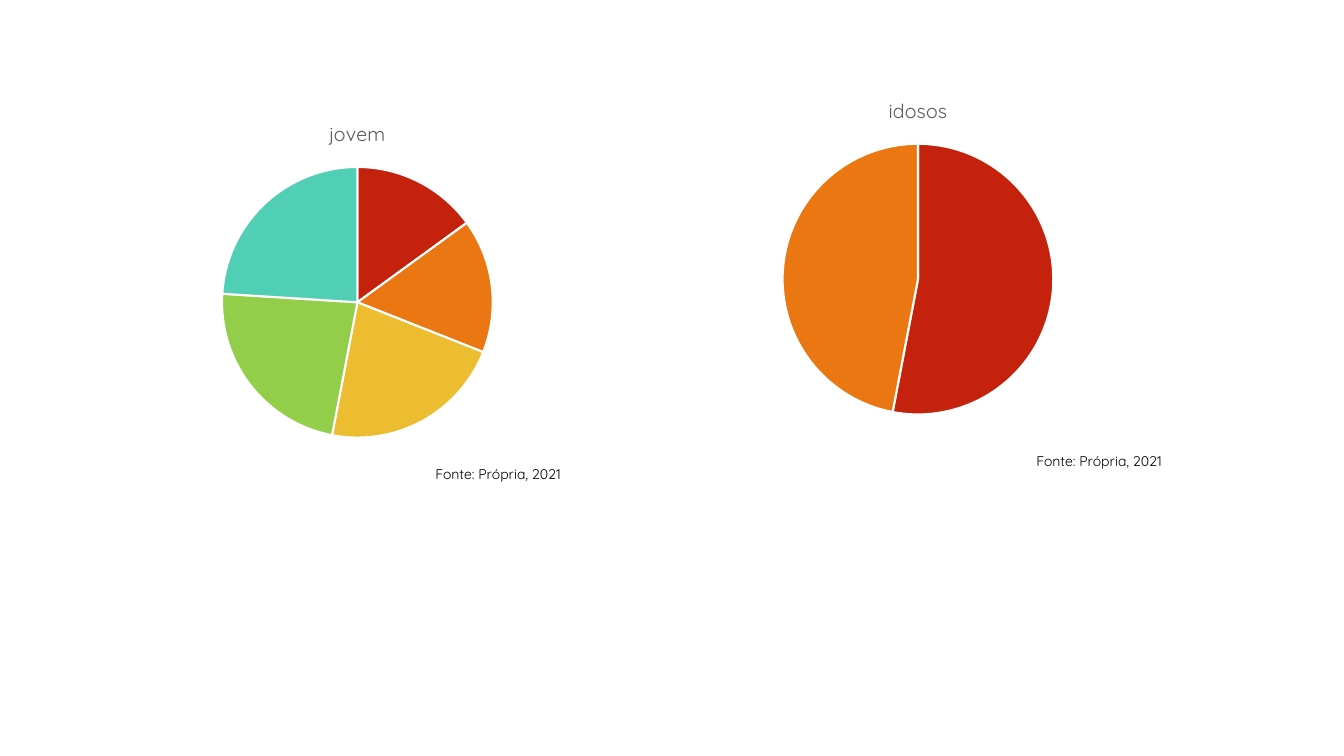
"""Build a slide with two pie charts of age groups and their sources."""
import dataclasses

import pptx
import pptx.chart.data
import pptx.dml.color
import pptx.enum.chart
import pptx.enum.text
import pptx.util
from pptx.util import Inches


@dataclasses.dataclass(frozen=True)
class Theme:
    """Hold the colours, font and type sizes of the slide."""
    font: str = "Quicksand"
    title_size: int = 14
    body_size: int = 10
    border_width: float = 1.5
    title_color: str = "595959"
    body_color: str = "000000"
    border_color: str = "FFFFFF"
    slices: tuple = ("C4220D", "EB7712", "ECBD31", "92CE4A", "50CFB4")


THEME = Theme()
PIES = (
    ("jovem", (15, 16, 22, 23, 24), 0.59, 1.03),
    ("idosos", (53, 47, None, None), 6.15, 0.8),
)
SOURCES = (
    ("Fonte: Própria, 2021", 2.53, 4.57),
    ("Fonte: Própria, 2021", 8.49, 4.44),
)


def rgb(color):
    """Turn a hex string into a colour."""
    return pptx.dml.color.RGBColor.from_string(color)


def format_font(font, size, color):
    """Apply the theme font with a given size and colour."""
    values = {"name": THEME.font, "size": pptx.util.Pt(size), "bold": False}
    for name, value in values.items():
        setattr(font, name, value)
    font.color.rgb = rgb(color)


def add_pie(page, title, values, left, top):
    """Add a titled pie chart with one theme colour per slice."""
    data = pptx.chart.data.CategoryChartData()
    data.categories = [str(number + 1) for number in range(len(values))]
    data.add_series(title, values)
    chart = page.shapes.add_chart(
        pptx.enum.chart.XL_CHART_TYPE.PIE,
        Inches(left), Inches(top), Inches(5.91), Inches(3.45), data,
    ).chart
    format_font(chart.font, THEME.body_size, THEME.body_color)
    chart.has_legend = False
    chart.has_title = True
    para = chart.chart_title.text_frame.paragraphs[0]
    span = para.add_run()
    span.text = title
    format_font(para.font, THEME.title_size, THEME.title_color)
    format_font(span.font, THEME.title_size, THEME.title_color)
    plot = chart.plots[0]
    plot.vary_by_categories = True
    for index, color in zip(range(len(values)), THEME.slices):
        slice_format = plot.series[0].points[index].format
        slice_format.fill.solid()
        slice_format.fill.fore_color.rgb = rgb(color)
        slice_format.line.color.rgb = rgb(THEME.border_color)
        slice_format.line.width = pptx.util.Pt(THEME.border_width)


def add_source(page, text, left, top):
    """Add a right-aligned source line."""
    box = page.shapes.add_textbox(
        Inches(left), Inches(top), Inches(3.13), Inches(0.27))
    frame = box.text_frame
    values = {"word_wrap": True,
              "auto_size": pptx.enum.text.MSO_AUTO_SIZE.SHAPE_TO_FIT_TEXT}
    for name, value in values.items():
        setattr(frame, name, value)
    para = frame.paragraphs[0]
    para.alignment = pptx.enum.text.PP_ALIGN.RIGHT
    span = para.add_run()
    span.text = text
    format_font(span.font, THEME.body_size, THEME.body_color)


def main():
    """Create the deck and save it."""
    deck = pptx.Presentation()
    deck.slide_width = Inches(13.33)
    deck.slide_height = Inches(7.5)
    page = deck.slides.add_slide(deck.slide_layouts[6])
    for pie in PIES:
        add_pie(page, *pie)
    for source in SOURCES:
        add_source(page, *source)
    deck.save("out.pptx")


if __name__ == "__main__":
    main()
